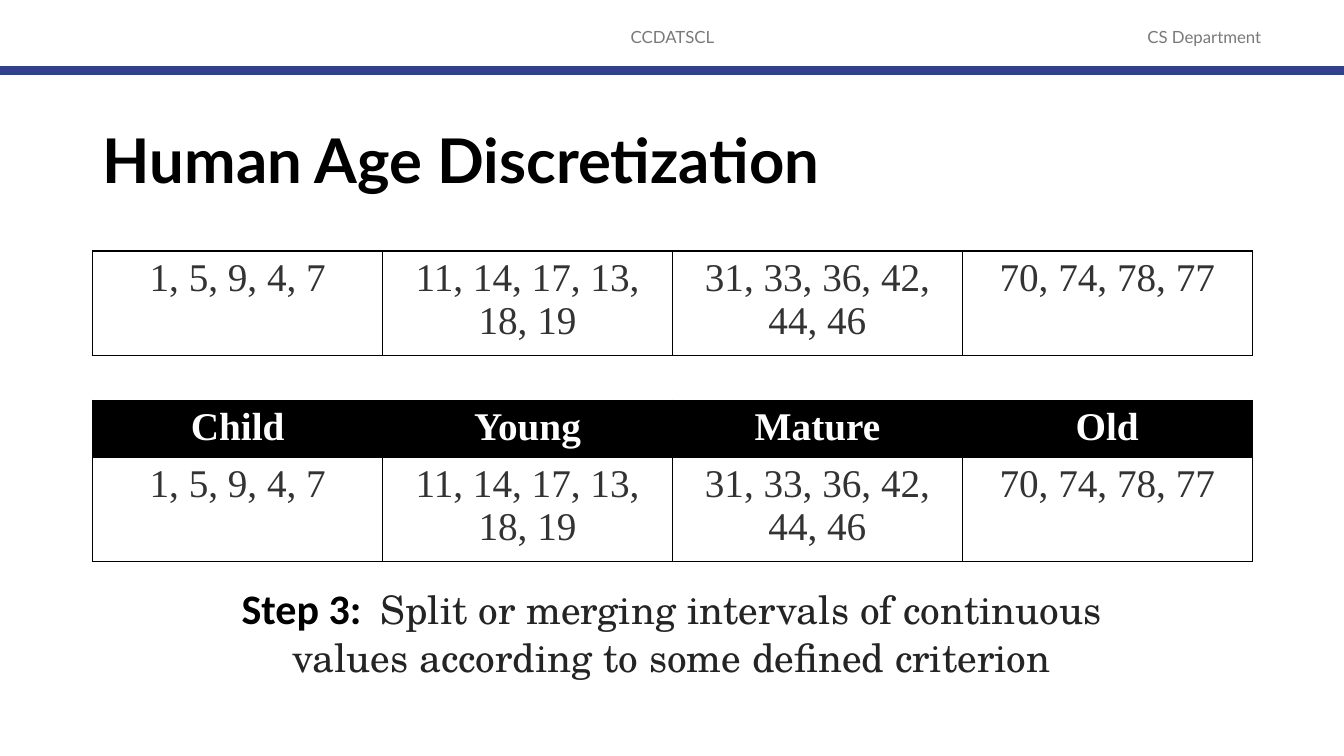
"""Build the age discretization slide."""
from lxml import etree
from pptx import Presentation
from pptx import util as u
from pptx.dml.color import RGBColor
from pptx.enum import shapes, text
from pptx.oxml import ns

COLORS = {"black": "000000", "white": "FFFFFF", "gray": "797979",
          "blue": "32418C", "cell": "333333", "body": "242424"}
FORMATS = {
    "header": {"name": "Lato", "size": 12, "color": "gray", "bold": False},
    "title": {"name": "Lato", "size": 44, "color": "black", "bold": True},
    "step": {"name": "Calibri", "size": 30, "color": "black", "bold": True},
    "body": {"name": "TeX Gyre Schola", "size": 28, "color": "body", "bold": False},
    "cell": {"name": "Times New Roman", "size": 28, "color": "cell", "bold": False},
    "head": {"name": "Times New Roman", "size": 28, "color": "white", "bold": True},
}
LABELS = ["Child", "Young", "Mature", "Old"]
AGES = ["1, 5, 9, 4, 7", "11, 14, 17, 13, 18, 19",
        "31, 33, 36, 42, 44, 46", "70, 74, 78, 77"]


class Deck:
    """Style and current slide, with a method per kind of element."""

    def __init__(self):
        """Start a widescreen presentation with one title slide."""
        self.prs = Presentation()
        self.prs.slide_width = u.Inches(13.33)
        self.prs.slide_height = u.Inches(7.5)
        self.s = self.prs.slides.add_slide(self.prs.slide_layouts[5])

    def rgb(self, color):
        """Return a named colour."""
        return RGBColor.from_string(COLORS[color])

    def add_runs(self, p, runs, align=text.PP_ALIGN.CENTER):
        """Fill a paragraph with (text, format name) runs."""
        p.alignment = align
        for words, style in runs:
            r = p.add_run()
            r.text = words
            for key, value in FORMATS[style].items():
                if key == "color":
                    r.font.color.rgb = self.rgb(value)
                else:
                    setattr(r.font, key, u.Pt(value) if key == "size" else value)

    def title(self, words, box):
        """Place the title placeholder."""
        sp = self.s.shapes.title
        sp.left, sp.top, sp.width, sp.height = map(u.Inches, box)
        tf = sp.text_frame
        tf.vertical_anchor = text.MSO_ANCHOR.MIDDLE
        p = tf.paragraphs[0]
        p.line_spacing = 0.9
        self.add_runs(p, [(words, "title")], text.PP_ALIGN.LEFT)

    def text(self, runs, box, anchor=text.MSO_ANCHOR.TOP):
        """Add a wrapped, centred text box."""
        tf = self.s.shapes.add_textbox(*map(u.Inches, box)).text_frame
        tf.word_wrap = True
        tf.vertical_anchor = anchor
        self.add_runs(tf.paragraphs[0], runs)

    def rule(self, y, color, width):
        """Draw a line across the slide."""
        sp = self.s.shapes.add_connector(
            shapes.MSO_CONNECTOR.STRAIGHT, 0, u.Inches(y),
            self.prs.slide_width, u.Inches(y))
        sp.line.color.rgb = self.rgb(color)
        sp.line.width = u.Pt(width)
        etree.SubElement(sp._element.spPr, ns.qn("a:effectLst"))

    def border(self, cell):
        """Give a cell thin black edges."""
        tc_pr = cell._tc.get_or_add_tcPr()
        for side in "LRTB":
            ln = etree.SubElement(tc_pr, ns.qn(f"a:ln{side}"), w=str(u.Pt(1)))
            fill = etree.SubElement(ln, ns.qn("a:solidFill"))
            etree.SubElement(fill, ns.qn("a:srgbClr"), val=COLORS["black"])

    def table(self, rows, top):
        """Add a table from (values, format name, height) rows."""
        height = sum(row[2] for row in rows)
        box = map(u.Inches, (0.92, top, 11.5, height))
        table = self.s.shapes.add_table(len(rows), len(rows[0][0]), *box).table
        table.first_row = table.horz_banding = False
        for i, (values, style, row_height) in enumerate(rows):
            table.rows[i].height = u.Inches(row_height)
            for j, value in enumerate(values):
                cell = table.cell(i, j)
                self.border(cell)
                if style == "head":
                    cell.fill.solid()
                    cell.fill.fore_color.rgb = self.rgb("black")
                else:
                    cell.fill.background()
                self.add_runs(cell.text_frame.paragraphs[0], [(value, style)])


def main():
    """Compose and save the slide."""
    deck = Deck()
    for words, left, width in [("CCDATSCL", 4.42, 4.5), ("CS Department", 10.92, 2.05)]:
        deck.text([(words, "header")], (left, 0.17, width, 0.4), text.MSO_ANCHOR.MIDDLE)
    deck.rule(0.7, "blue", 6)
    deck.title("Human Age Discretization", (0.92, 0.9, 11.5, 1.45))
    ages = (AGES, "cell", 1.03)
    deck.table([ages], 2.49)
    deck.table([(LABELS, "head", 0.57), ages], 3.97)
    deck.text([("Step 3:  ", "step"),
               ("Split or merging intervals of continuous values "
                "according to some defined criterion", "body")],
              (1.89, 5.73, 9.54, 1.08))
    deck.prs.save("out.pptx")


if __name__ == "__main__":
    main()
